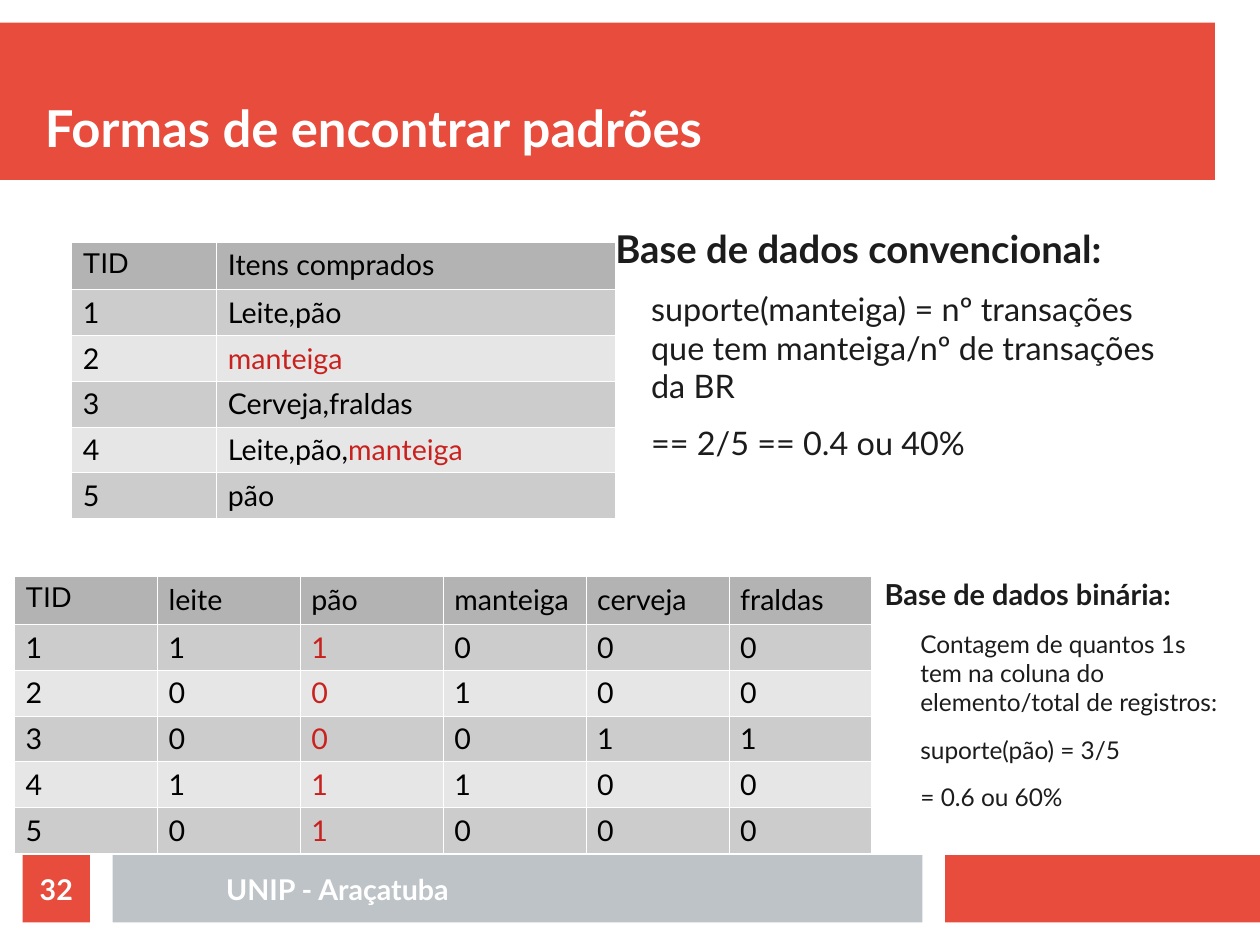
from lxml.etree import SubElement
from pptx import Presentation
from pptx.dml.color import RGBColor
from pptx.enum.shapes import MSO_SHAPE
from pptx.enum.text import MSO_ANCHOR, MSO_AUTO_SIZE, PP_ALIGN
from pptx.oxml.ns import qn
from pptx.util import Pt

RED = RGBColor(0xE7, 0x4C, 0x3C)
GREY = RGBColor(0xBD, 0xC3, 0xC7)
WHITE = RGBColor(0xFF, 0xFF, 0xFF)
BLACK = RGBColor(0, 0, 0)
INK = RGBColor(0x1C, 0x1C, 0x1C)
MARKED = RGBColor(0xC9, 0x21, 0x1E)
HEAD_ROW = RGBColor(0xB3, 0xB3, 0xB3)
ODD_ROW = RGBColor(0xCC, 0xCC, 0xCC)
EVEN_ROW = RGBColor(0xE6, 0xE6, 0xE6)

TITLE = "Formas de encontrar padrões"
FOOTER = "UNIP - Araçatuba"
PAGE = "32"

# Text after "|" in a cell is marked red.
PURCHASES = [
    ("TID", "Itens comprados"),
    ("1", "Leite,pão"),
    ("2", "|manteiga"),
    ("3", "Cerveja,fraldas"),
    ("4", "Leite,pão,|manteiga"),
    ("5", "pão"),
]
BINARY = [
    ("TID", "leite", "pão", "manteiga", "cerveja", "fraldas"),
    ("1", "1", "|1", "0", "0", "0"),
    ("2", "0", "|0", "1", "0", "0"),
    ("3", "0", "|0", "0", "1", "1"),
    ("4", "1", "|1", "1", "0", "0"),
    ("5", "0", "|1", "0", "0", "0"),
]
CONVENTIONAL_NOTES = [
    "Base de dados convencional:",
    "suporte(manteiga) = nº transações que tem manteiga/nº de transações da BR",
    "== 2/5 == 0.4 ou 40%",
]
BINARY_NOTES = [
    "Base de dados binária:",
    "Contagem de quantos 1s tem na coluna do elemento/total de registros:",
    "suporte(pão) = 3/5",
    "= 0.6 ou 60%",
]

FOOT_TOP, FOOT_HEIGHT = 538.6, 42.5
HEAD_HEIGHT, ROW_HEIGHT = 30.2, 27.5


def style(font, size, color, bold=False, name="Lato"):
    font.name, font.size, font.bold = name, Pt(size), bold
    font.color.rgb = color


def prepare(frame, anchor):
    """Make the frame wrap, without margins or autofit."""
    frame.word_wrap = True
    frame.auto_size = MSO_AUTO_SIZE.NONE
    frame.vertical_anchor = anchor
    frame.margin_left = frame.margin_top = frame.margin_right = frame.margin_bottom = 0


def add_block(slide, left, top, width, height, color):
    block = slide.shapes.add_shape(
        MSO_SHAPE.RECTANGLE, Pt(left), Pt(top), Pt(width), Pt(height))
    block.shadow.inherit = False
    block.fill.solid()
    block.fill.fore_color.rgb = color
    block.line.fill.background()
    return block


def write_label(shape, text):
    """Centre a white footer label in the shape."""
    prepare(shape.text_frame, MSO_ANCHOR.MIDDLE)
    label = shape.text_frame.paragraphs[0]
    label.text = text
    label.alignment = PP_ALIGN.CENTER
    style(label.font, 18, WHITE, True)


def add_notes(slide, left, top, width, lines, head_size, size):
    notes = slide.shapes.add_textbox(Pt(left), Pt(top), Pt(width), Pt(177.8)).text_frame
    prepare(notes, MSO_ANCHOR.TOP)
    for i, line in enumerate(lines):
        paragraph = notes.add_paragraph() if i else notes.paragraphs[0]
        paragraph.text = line
        paragraph.space_after = Pt(11.3)
        if i:
            paragraph.level = 1
            paragraph._p.get_or_add_pPr().set("marL", str(Pt(22.5)))
        style(paragraph.font, size if i else head_size, INK, not i)


def add_borders(cell):
    properties = cell._tc.get_or_add_tcPr()
    for side in ("lnL", "lnR", "lnT", "lnB"):
        border = SubElement(properties, qn(f"a:{side}"), w=str(Pt(0.06)))
        SubElement(SubElement(border, qn("a:solidFill")), qn("a:srgbClr"), val=str(WHITE))


def add_grid(slide, left, top, widths, rows):
    heights = [HEAD_HEIGHT] + [ROW_HEIGHT] * (len(rows) - 1)
    grid = slide.shapes.add_table(
        len(rows), len(widths), Pt(left), Pt(top), Pt(sum(widths)), Pt(sum(heights))).table
    for column, width in zip(grid.columns, widths):
        column.width = Pt(width)
    for r, (row, height) in enumerate(zip(rows, heights)):
        grid.rows[r].height = Pt(height)
        for c, text in enumerate(row):
            cell = grid.cell(r, c)
            add_borders(cell)
            cell.fill.solid()
            cell.fill.fore_color.rgb = (
                HEAD_ROW if r == 0 else ODD_ROW if r % 2 else EVEN_ROW)
            paragraph = cell.text_frame.paragraphs[0]
            for part, color in zip(text.split("|"), (BLACK, MARKED)):
                if part:
                    run = paragraph.add_run()
                    run.text = part
                    style(run.font, 18, color, name="Arial" if text == "TID" else "Lato")


def main():
    deck = Presentation()
    deck.slide_width, deck.slide_height = Pt(793.7), Pt(595.3)
    slide = deck.slides.add_slide(deck.slide_layouts[5])

    title = slide.shapes.title
    title.left, title.top, title.width, title.height = Pt(28.3), Pt(28.3), Pt(737), Pt(70.9)
    prepare(title.text_frame, MSO_ANCHOR.BOTTOM)
    heading = title.text_frame.paragraphs[0]
    heading.text = TITLE
    heading.alignment = PP_ALIGN.LEFT
    style(heading.font, 32, WHITE, True)
    banner = add_block(slide, 0, 14.2, 765.4, 99.2, RED)
    title.element.addprevious(banner.element)

    add_block(slide, 595.3, FOOT_TOP, 198.4, FOOT_HEIGHT, RED)
    add_block(slide, 70.9, FOOT_TOP, 510.2, FOOT_HEIGHT, GREY)

    add_notes(slide, 387.6, 141.7, 363.6, CONVENTIONAL_NOTES, 24.1, 20.4)
    add_grid(slide, 45, 152.2, [91.4, 251.3], PURCHASES)
    add_grid(slide, 9, 363, [90] * 6, BINARY)
    add_notes(slide, 557.3, 363, 211, BINARY_NOTES, 18.2, 15.4)

    footer = slide.shapes.add_textbox(
        Pt(85), Pt(FOOT_TOP), Pt(255.1), Pt(FOOT_HEIGHT))
    write_label(footer, FOOTER)
    write_label(add_block(slide, 14.2, FOOT_TOP, 42.5, FOOT_HEIGHT, RED), PAGE)

    deck.save("out.pptx")


if __name__ == "__main__":
    main()
